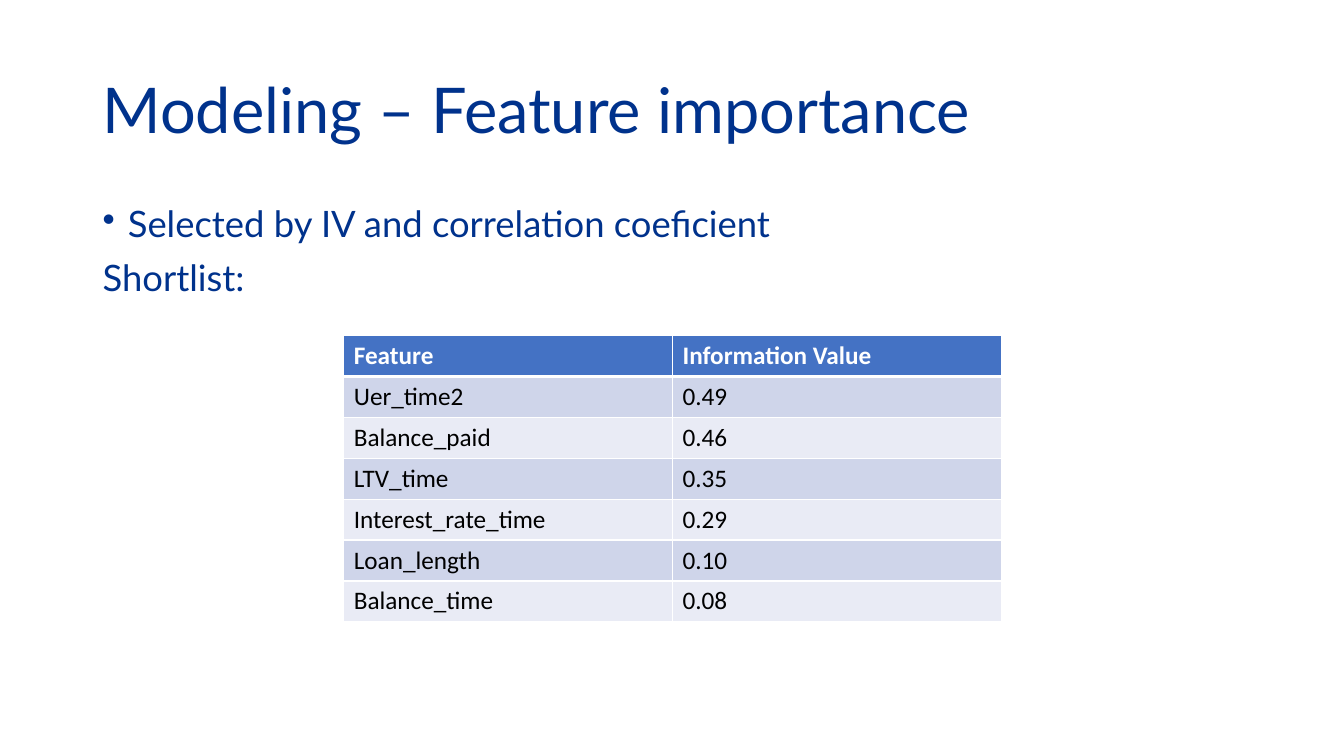
"""Build the feature importance slide."""
from pptx import Presentation
from pptx.dml.color import RGBColor
from pptx.enum.text import MSO_ANCHOR as Anchor
from pptx.oxml.xmlchemy import OxmlElement as Element
from pptx.util import Inches, Pt

NAVY, WHITE, BLACK = "00328C", "FFFFFF", "000000"
HEADER_FILL, BAND_FILLS = "4472C4", ("CFD5EA", "E9EBF5")
FEATURES = [
    ("Feature", "Information Value"),
    ("Uer_time2", "0.49"),
    ("Balance_paid", "0.46"),
    ("LTV_time", "0.35"),
    ("Interest_rate_time", "0.29"),
    ("Loan_length", "0.10"),
    ("Balance_time", "0.08"),
]


def color(value):
    """Turn a hex string into a colour."""
    return RGBColor.from_string(value)


def add_span(para, text, fill, **formats):
    """Add a formatted run to a paragraph."""
    span = para.add_run()
    span.text = text
    span.font.color.rgb = color(fill)
    for name, value in formats.items():
        setattr(span.font, name, value)


def add_bullet(para):
    """Give a paragraph a hanging round bullet."""
    props = para._p.get_or_add_pPr()
    props.set("marL", str(Inches(0.25)))
    props.set("indent", str(Inches(-0.25)))
    bullet = Element("a:buChar")
    bullet.set("char", "•")
    props.append(bullet)


def add_text(page, lines, top, height, size, anchor, space=0, bulleted=()):
    """Add a text box with one paragraph per line."""
    box = page.shapes.add_textbox(Inches(0.92), Inches(top), Inches(11.5), Inches(height))
    frame = box.text_frame
    frame.word_wrap = True
    frame.vertical_anchor = anchor
    for index, line in enumerate(lines):
        para = frame.add_paragraph() if index else frame.paragraphs[0]
        para.line_spacing = 0.9
        para.space_before = Pt(space)
        if index in bulleted:
            add_bullet(para)
        add_span(para, line, NAVY, name="Lato", size=Pt(size))


def add_borders(cell, widths):
    """Draw white borders with a width in points for each side."""
    for side, width in widths.items():
        line = Element(f"a:ln{side}")
        line.set("w", str(Pt(width)))
        fill = Element("a:solidFill")
        tone = Element("a:srgbClr")
        tone.set("val", WHITE)
        fill.append(tone)
        line.append(fill)
        cell._tc.get_or_add_tcPr().append(line)


def add_feature_table(page):
    """Add the banded table of features and their values."""
    frame = page.shapes.add_table(
        len(FEATURES), 2, Inches(3.41), Inches(3.33), Inches(6.52), Inches(2.84))
    for row, values in enumerate(FEATURES):
        header = row == 0
        fill = HEADER_FILL if header else BAND_FILLS[(row - 1) % 2]
        for column, value in enumerate(values):
            cell = frame.table.cell(row, column)
            add_borders(cell, {"L": 1, "R": 1, "T": 3 if row == 1 else 1, "B": 3 if header else 1})
            cell.fill.solid()
            cell.fill.fore_color.rgb = color(fill)
            add_span(cell.text_frame.paragraphs[0], value, WHITE if header else BLACK,
                     name="Calibri", size=Pt(18), bold=header)


def main():
    """Build and save the deck."""
    deck = Presentation()
    deck.slide_width, deck.slide_height = Inches(13.33), Inches(7.5)
    page = deck.slides.add_slide(deck.slide_layouts[6])
    add_text(page, ["Modeling – Feature importance"], 0.4, 1.45, 45, Anchor.MIDDLE)
    add_text(page, ["Selected by IV and correlation coeficient", "Shortlist:"],
             2, 4.76, 26, Anchor.TOP, space=10, bulleted=(0,))
    add_feature_table(page)
    deck.save("out.pptx")


if __name__ == "__main__":
    main()
